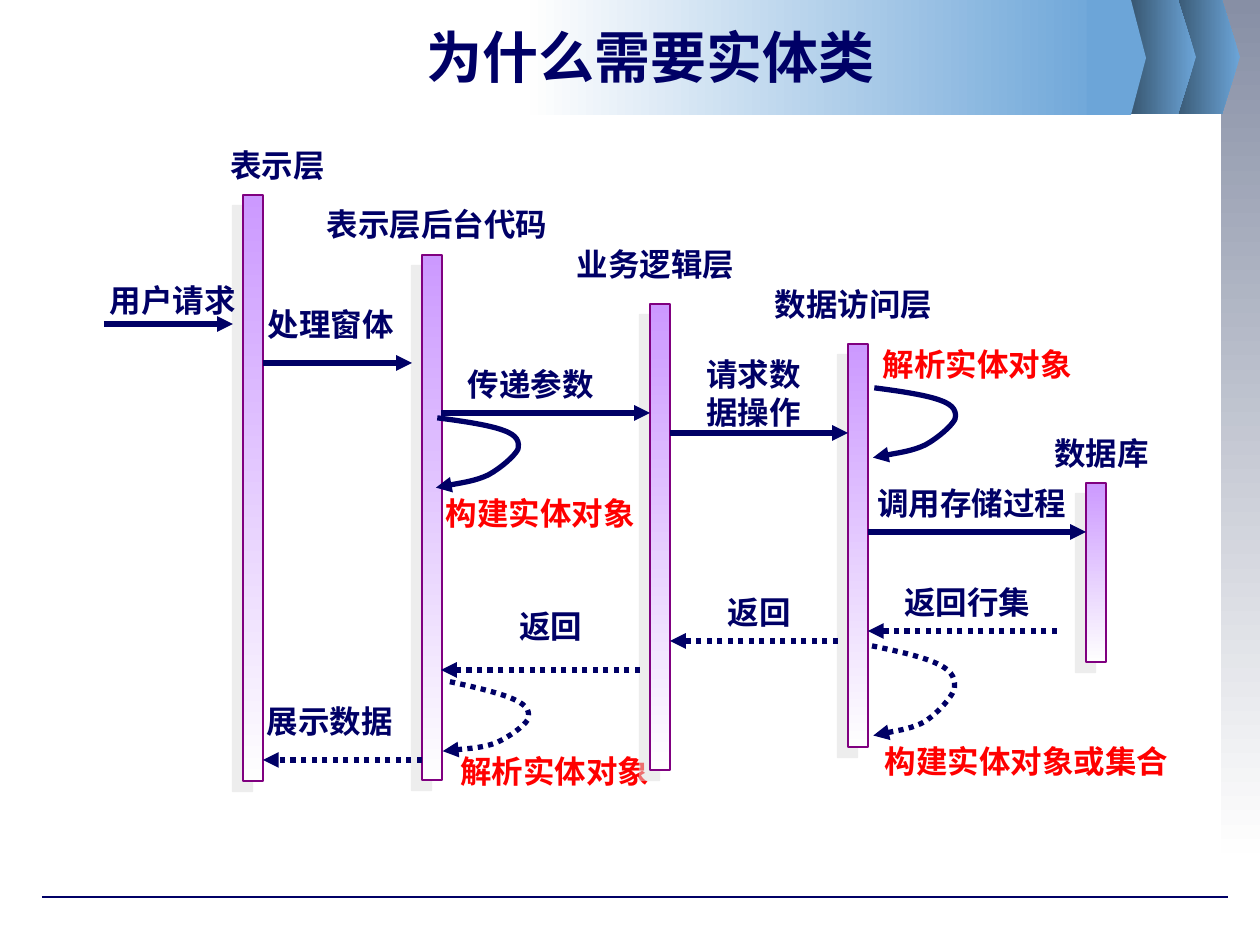
from pptx import Presentation
from pptx import util as u
from pptx.dml.color import RGBColor
from pptx.enum import dml, shapes, text
from pptx.oxml.ns import qn
from lxml import etree

SCALE = 914400 / 126

NAVY = RGBColor(0x00, 0x00, 0x66)
RED = RGBColor(0xFF, 0x00, 0x00)
PURPLE = RGBColor(0x80, 0x00, 0x80)
LILAC = RGBColor(0xCC, 0x99, 0xFF)
NEAR_WHITE = RGBColor(0xFE, 0xFE, 0xFE)
SKY = RGBColor(0x6C, 0xA5, 0xD8)
DEEP_BLUE = RGBColor(0x31, 0x4C, 0x63)
SLATE = RGBColor(0x87, 0x8F, 0xA5)

CJK = "Noto Sans CJK SC"
DOWN, LEFTWARD = 270, 180
BAR_WIDTH = 20
CHEVRON = [(0, 0), (56, 0), (74, 57), (56, 114), (0, 114)]
BANNER_TIP = [(0, 0), (44, 0), (59, 58), (44, 115), (0, 115)]
LOOP = [(12, 0), (41, 10), (70, 21), (84, 31), (99, 41), (100, 51), (97, 61),
        (92, 70), (76, 84), (60, 92), (45, 98), (12, 99), (0, 100)]

LIFELINES = [(243, 195, 586), (422, 255, 525), (650, 304, 466),
             (848, 344, 403), (1086, 483, 179)]

BACK_LABELS = [
    ("解析实体对象", 441, 741, 228, 59, RED),
    ("构建实体对象", 461, 483, 159, 59, RED),
    ("返回行集", 898, 572, 139, 59, NAVY),
]
LABELS = [
    ("表示层", 203, 145, 149, 39, NAVY),
    ("表示层后台代码", 343, 204, 188, 39, NAVY),
    ("业务逻辑层", 581, 244, 149, 39, NAVY),
    ("数据访问层", 779, 284, 149, 39, NAVY),
    ("数据库", 1027, 433, 149, 39, NAVY),
    ("用户请求", 123, 275, 100, 49, NAVY),
    ("处理窗体", 272, 294, 118, 59, NAVY),
    ("传递参数", 451, 354, 159, 59, NAVY),
    ("请求数\n据操作", 679, 363, 149, 59, NAVY),
    ("调用存储过程", 878, 483, 188, 39, NAVY),
    ("展示数据", 253, 662, 154, 118, NAVY),
    ("返回", 660, 572, 198, 79, NAVY),
    ("解析实体对象", 888, 334, 179, 59, RED),
    ("构建实体对象或集合", 937, 731, 179, 59, RED),
]

CALLS = [(104, 324, 233), (263, 363, 412), (441, 413, 650),
         (670, 433, 848), (868, 532, 1086)]
RETURNS = [(1057, 631, 868), (838, 641, 670), (640, 670, 441), (422, 760, 263)]
SELF_CALLS = [
    (431, 413, 89, 69, 352.3, False),
    (868, 383, 89, 69, 352.3, False),
    (867, 641, 89, 89, 352.3, True),
    (441, 680, 89, 69, 357.1, True),
]


def px(length):
    return u.Emu(round(length * SCALE))


def apply(target, values):
    for name, value in values.items():
        setattr(target, name, value)


def fill_gradient(shape, first, last, angle):
    shape.fill.gradient()
    shape.fill.gradient_angle = angle
    for stop, color in zip(shape.fill.gradient_stops, (first, last)):
        stop.color.rgb = color


def add_plain(slide, left, top, width, height):
    plain = slide.shapes.add_shape(
        shapes.MSO_SHAPE.RECTANGLE, px(left), px(top), px(width), px(height))
    plain.fill.background()
    plain.line.fill.background()
    plain.shadow.inherit = False
    return plain


def add_block(slide, left, top, width, height, colors, angle):
    block = add_plain(slide, left, top, width, height)
    fill_gradient(block, *colors, angle)
    return block


def add_outline(slide, points, left, top, scale=SCALE, close=True):
    builder = slide.shapes.build_freeform(*points[0], scale=scale)
    builder.add_line_segments(points[1:], close=close)
    outline = builder.convert_to_shape(px(left), px(top))
    outline.line.fill.background()
    outline.shadow.inherit = False
    return outline


def add_lifeline(slide, left, top, height):
    bar = add_block(slide, left, top, BAR_WIDTH, height, (LILAC, NEAR_WHITE), DOWN)
    bar.line.color.rgb = PURPLE
    bar.line.width = u.Pt(0.75)
    effects = bar._element.spPr.find(qn("a:effectLst"))
    shadow = etree.SubElement(effects, qn("a:outerShdw"), blurRad="0",
                              dist=str(u.Pt(8.5)), dir="8100000",
                              algn="ctr", rotWithShape="0")
    tint = etree.SubElement(shadow, qn("a:srgbClr"), val="DDDDDD")
    etree.SubElement(tint, qn("a:alpha"), val="50000")


def style_arrow(line, dotted):
    line.color.rgb = NAVY
    line.width = u.Pt(3)
    if dotted:
        line.dash_style = dml.MSO_LINE.ROUND_DOT
    etree.SubElement(line._get_or_add_ln(), qn("a:tailEnd"), type="triangle")


def add_rule(slide, start, y, end):
    rule = slide.shapes.add_connector(
        shapes.MSO_CONNECTOR.STRAIGHT, px(start), px(y), px(end), px(y))
    rule.line.color.rgb = NAVY
    rule.line.width = u.Pt(0.75)
    etree.SubElement(rule._element.spPr, qn("a:effectLst"))
    return rule


def add_message(slide, start, y, end, dotted):
    style_arrow(add_rule(slide, start, y, end).line, dotted)


def add_self_call(slide, left, top, width, height, rotation, dotted):
    scale = (width * SCALE / 100, height * SCALE / 100)
    loop = add_outline(slide, LOOP, left, top, scale, close=False)
    loop.fill.background()
    loop.rotation = rotation
    style_arrow(loop.line, dotted)
    segments = loop._element.xpath(".//a:lnTo")
    track = segments[0].getparent()
    for first in range(0, len(segments), 3):
        curve = etree.SubElement(track, qn("a:cubicBezTo"))
        for segment in segments[first:first + 3]:
            curve.append(segment[0])
            track.remove(segment)


def add_label(slide, words, left, top, width, height, color,
              size=18, font=CJK, wrap=False, anchor=text.MSO_ANCHOR.MIDDLE):
    frame = add_plain(slide, left, top, width, height).text_frame
    frame.text = words
    apply(frame, {"word_wrap": wrap, "vertical_anchor": anchor})
    for paragraph in frame.paragraphs:
        paragraph.alignment = text.PP_ALIGN.CENTER
        for run in paragraph.runs:
            apply(run.font, {"size": u.Pt(size), "bold": True, "name": font})
            run.font.color.rgb = color
            properties = run._r.get_or_add_rPr()
            properties.set("lang", "zh-CN")
            etree.SubElement(properties, qn("a:ea"), typeface=font)


def add_backdrop(slide):
    add_block(slide, 1221, 0, 39, 853, (SLATE, NEAR_WHITE), DOWN)
    add_rule(slide, 42, 897, 1228)
    for left in (1166, 1122):
        fill_gradient(add_outline(slide, CHEVRON, left, 0), SKY, DEEP_BLUE, LEFTWARD)
    add_block(slide, 530, 0, 580, 115, (SKY, NEAR_WHITE), LEFTWARD)
    tip = add_outline(slide, BANNER_TIP, 1087, 0)
    tip.fill.solid()
    tip.fill.fore_color.rgb = SKY


def main():
    deck = Presentation()
    apply(deck, {"slide_width": px(1260), "slide_height": px(945)})
    slide = deck.slides.add_slide(deck.slide_layouts[6])
    add_backdrop(slide)
    for label in BACK_LABELS:
        add_label(slide, *label)
    add_label(slide, "为什么需要实体类", 158, 15, 986, 82, NAVY,
              size=32, font="DejaVu Sans", wrap=True)
    for lifeline in LIFELINES:
        add_lifeline(slide, *lifeline)
    for messages, dotted in ((CALLS, False), (RETURNS, True)):
        for message in messages:
            add_message(slide, *message, dotted)
    for self_call in SELF_CALLS:
        add_self_call(slide, *self_call)
    for label in LABELS:
        add_label(slide, *label)
    add_label(slide, "返回", 471, 601, 159, 118, NAVY, anchor=text.MSO_ANCHOR.TOP)
    deck.save("out.pptx")


if __name__ == "__main__":
    main()
